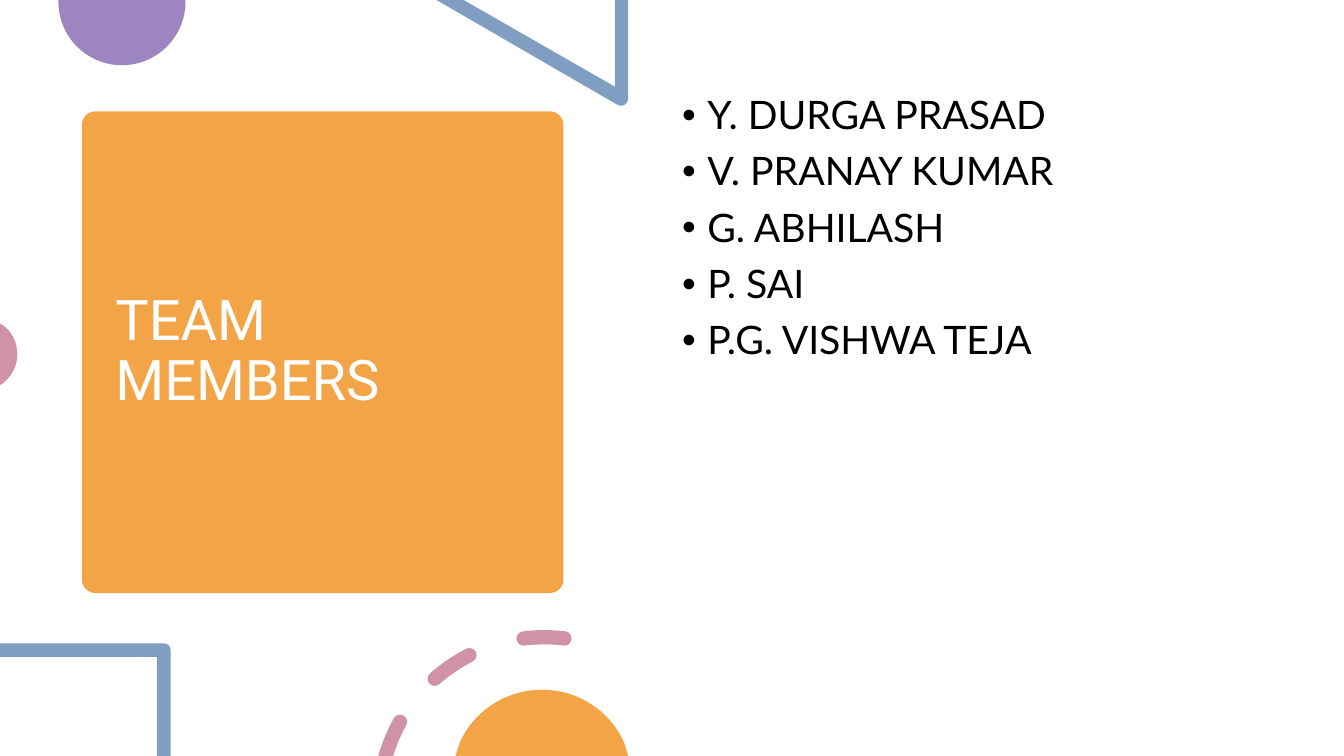
from math import ceil, cos, radians, sin, tan

from lxml import etree
from pptx import Presentation
from pptx.dml.color import RGBColor
from pptx.enum.shapes import MSO_SHAPE
from pptx.enum.text import MSO_ANCHOR
from pptx.oxml.ns import qn
from pptx.util import Pt

WHITE = RGBColor(0xFF, 0xFF, 0xFF)
BLACK = RGBColor(0x00, 0x00, 0x00)
ORANGE = RGBColor(0xF3, 0xA4, 0x47)
PURPLE = RGBColor(0x9C, 0x85, 0xC0)
BLUE = RGBColor(0x80, 0x9E, 0xC2)
PINK = RGBColor(0xD0, 0x92, 0xA7)

WIDTH, HEIGHT = 960, 540

deck = Presentation()
deck.slide_width, deck.slide_height = Pt(WIDTH), Pt(HEIGHT)
page = deck.slides.add_slide(deck.slide_layouts[6])


def arc(x, y, radius, start, end):
    count = ceil(abs(end - start) / 90)
    sweep = radians(end - start) / count
    pull = 4 / 3 * tan(sweep / 4)
    steps = [((x + radius * cos(radians(start)), y + radius * sin(radians(start))),)]
    for index in range(count):
        a = radians(start) + index * sweep
        b = a + sweep
        steps.append((
            (x + radius * (cos(a) - pull * sin(a)), y + radius * (sin(a) + pull * cos(a))),
            (x + radius * (cos(b) + pull * sin(b)), y + radius * (sin(b) - pull * cos(b))),
            (x + radius * cos(b), y + radius * sin(b)),
        ))
    return steps


def paint(shape, color):
    shape.shadow.inherit = False
    shape.fill.solid()
    shape.fill.fore_color.rgb = color
    shape.line.fill.background()


backdrop = page.shapes.add_shape(MSO_SHAPE.RECTANGLE, 0, 0, Pt(WIDTH), Pt(HEIGHT))
paint(backdrop, WHITE)
card = page.shapes.add_shape(MSO_SHAPE.ROUNDED_RECTANGLE, Pt(58.5), Pt(79.6), Pt(344), Pt(344))
card.adjustments[0] = 0.028
paint(card, ORANGE)

purple_circle = [((132.5, 0),), ((41.8, 0),)] + arc(87.1, 1.2, 45.4, 180, 0)
triangle = [((448.6, 0),), ((439.2, 0),), ((439.2, 61.9),), ((331.2, 0),), ((311.8, 0),)]
triangle += arc(443.7, 70.7, 4.9, 120, 0)
pink_circle = [
    ((0, 231.1),),
    ((1.4, 231.8),),
    ((7.9, 236.2), (12.4, 244.1), (12.4, 253),),
    ((12.4, 261.9), (7.9, 269.5), (1.4, 274.3),),
    ((0, 275),),
]
corner = [((0, 459.5),)] + arc(117, 464.4, 4.9, -90, 0)
corner += [((121.9, HEIGHT),), ((112.2, HEIGHT),), ((112.2, 469.3),), ((0, 469.3),)]
orange_circle = [
    ((325.4, HEIGHT),),
    ((328.3, 530.6),),
    ((338.4, 508.3), (360.7, 492.7), (387.2, 492.7)),
    ((413.6, 492.7), (436.1, 508.3), (445.9, 530.6)),
    ((448.7, HEIGHT),),
]

RING_X, RING_Y, RING, HALF = 388.8, 573.3, 118.1, 5.1
dashes = []
for start, end, tilt in [(196.3, 209.2, 0.7), (228.5, 243.1, 0), (262.8, 277, 0)]:
    (first,), *_, (*_, last) = arc(RING_X, RING_Y, RING, start, end)
    dash = arc(RING_X, RING_Y, RING + HALF, start - tilt, end)
    dash += arc(*last, HALF, end, end + 180)[1:]
    dash += arc(RING_X, RING_Y, RING - HALF, end, start + tilt)[1:]
    if not tilt:
        dash += arc(*first, HALF, start + 180, start + 360)[1:]
    dashes.append(dash)

decorations = [
    ([purple_circle], PURPLE),
    ([triangle], BLUE),
    ([pink_circle], PINK),
    ([corner], BLUE),
    (dashes, PINK),
    ([orange_circle], ORANGE),
]
for contours, color in decorations:
    outlines = [[(Pt(x), Pt(y)) for step in contour for x, y in step] for contour in contours]
    builder = page.shapes.build_freeform(*outlines[0][0], scale=1.0)
    for index, outline in enumerate(outlines):
        if index:
            builder.move_to(*outline[0])
        builder.add_line_segments(outline[1:], close=True)
    shape = builder.convert_to_shape()
    paint(shape, color)
    lines = shape._element.iter(qn("a:lnTo"))
    segments = iter(list(lines))
    for contour in contours:
        for step in contour[1:]:
            group = [next(segments) for point in step]
            if len(group) == 3:
                curve = etree.Element(qn("a:cubicBezTo"))
                group[0].addprevious(curve)
                for segment in group:
                    curve.append(segment[0])
                    segment.getparent().remove(segment)

texts = [
    {
        "place": (75.4, 87.5, 310.3, 328.3),
        "lines": ["TEAM MEMBERS"],
        "anchor": MSO_ANCHOR.MIDDLE,
        "font": {"name": "Roboto", "size": Pt(40)},
        "color": WHITE,
        "spacing": {"line_spacing": 0.9},
        "bullet": False,
    },
    {
        "place": (480.2, 64.8, 414, 385.2),
        "lines": ["Y. DURGA PRASAD", "V. PRANAY KUMAR", "G. ABHILASH", "P. SAI", "P.G. VISHWA TEJA"],
        "anchor": MSO_ANCHOR.TOP,
        "font": {"name": "Lato", "size": Pt(28)},
        "color": BLACK,
        "spacing": {"line_spacing": 0.9, "space_before": Pt(10)},
        "bullet": True,
    },
]
for text in texts:
    box = page.shapes.add_textbox(*[Pt(length) for length in text["place"]])
    frame = box.text_frame
    frame.word_wrap = True
    frame.vertical_anchor = text["anchor"]
    for index, line in enumerate(text["lines"]):
        para = frame.add_paragraph() if index else frame.paragraphs[0]
        for name, value in text["spacing"].items():
            setattr(para, name, value)
        span = para.add_run()
        span.text = line
        for name, value in text["font"].items():
            setattr(span.font, name, value)
        span.font.color.rgb = text["color"]
        if text["bullet"]:
            properties = para._p.get_or_add_pPr()
            properties.set("marL", str(Pt(18)))
            properties.set("indent", str(-Pt(18)))
            etree.SubElement(properties, qn("a:buFont")).set("typeface", "Arial")
            etree.SubElement(properties, qn("a:buChar")).set("char", "•")

deck.save("out.pptx")
